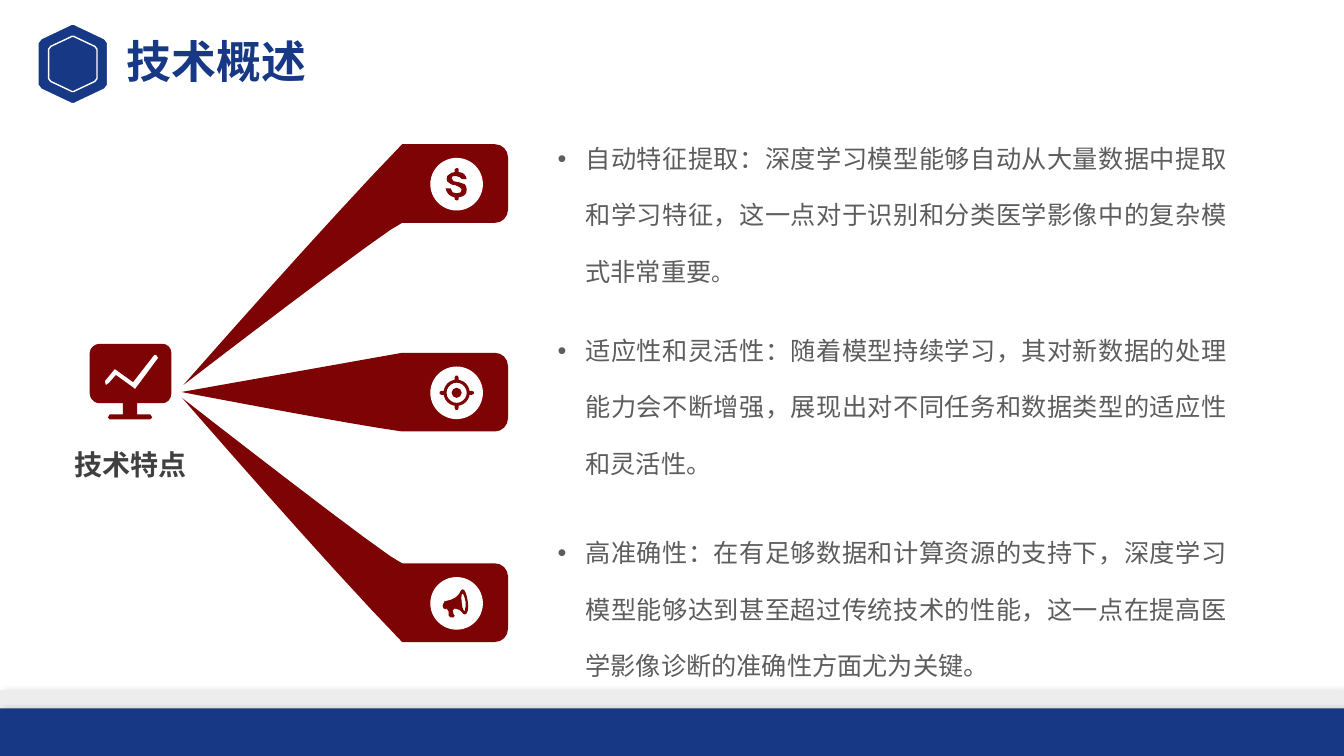
"""Build the technology overview slide with its three feature branches."""
from dataclasses import dataclass
from math import dist

from lxml import etree
from pptx import Presentation
from pptx.dml.color import RGBColor
from pptx.enum.shapes import MSO_SHAPE
from pptx.enum.text import MSO_ANCHOR, MSO_AUTO_SIZE, PP_ALIGN
from pptx.oxml import parse_xml
from pptx.oxml.ns import nsdecls, qn
from pptx.shapes.autoshape import Shape
from pptx.slide import Slide
from pptx.util import Pt

RECTANGLE, OVAL = MSO_SHAPE.RECTANGLE, MSO_SHAPE.OVAL
TOP, MIDDLE = MSO_ANCHOR.TOP, MSO_ANCHOR.MIDDLE
LEFT, CENTER, JUSTIFY = PP_ALIGN.LEFT, PP_ALIGN.CENTER, PP_ALIGN.JUSTIFY
GROW = MSO_AUTO_SIZE.SHAPE_TO_FIT_TEXT

Contour = list[tuple[float, ...]]
Point = tuple[float, float]
Frame = tuple[float, float, float, float]


@dataclass(frozen=True)
class Theme:
    """Colours, fonts and type sizes of the slide."""
    navy: str = "173885"
    maroon: str = "7D0304"
    silver: str = "EDEDED"
    white: str = "FFFFFF"
    body: str = "5D5D5D"
    label: str = "404040"
    title_font: str = "Noto Sans CJK SC"
    body_font: str = "Noto Sans CJK JP"
    title_size: float = 32
    label_size: float = 20
    body_size: float = 18
    small_size: float = 16


@dataclass(frozen=True)
class Branch:
    """One ribbon with its icon and its explanation, in points."""
    tip: Point
    head_top: float
    upper_bend: Point
    lower_bend: Point
    icon: list[Contour]
    text_top: float
    text_height: float
    text: str
    stop_size: float


THEME = Theme()
ICON_UNIT = 0.72
ICON_X, ICON_SIZE = 326.2, 37.6
HEAD_LEFT, HEAD_RIGHT, HEAD_HEIGHT, HEAD_RADIUS = 287.3, 362.9, 56.2, 9.4

HEXAGON: Contour = [
    (34.5, -21), (34.5, 21), (31.5, 25), (4, 38), (2, 40, -2, 40, -4, 38), (-31.5, 25),
    (-34.5, 21), (-34.5, -21), (-31.5, -25), (-4, -38), (-2, -40, 2, -40, 4, -38), (31.5, -25)]
DOLLAR: Contour = [
    (2, 13), (8, 12, 10, 10, 10, 5), (10, 3, 9, 1, 8, 0), (6, -1, 4, -1, 2, -2), (-3, -3),
    (-4, -4, -5, -5, -5, -6), (-4, -8), (-3, -8, -2, -8, 0, -8), (3, -7),
    (3, -7, 5, -6, 5, -5), (10, -5), (9, -9, 7, -12, 2, -12), (2, -15), (1, -16), (0, -16),
    (-2, -15), (-2, -12), (-4, -12, -6, -11, -7, -10), (-9, -9, -10, -8, -10, -5),
    (-10, -3, -9, -2, -7, -1), (-6, 0, -4, 1, -1, 1), (3, 3), (5, 5), (5, 8, 4, 9, 0, 9),
    (-4, 8), (-5, 7, -6, 6, -6, 4), (-11, 4), (-10, 9, -7, 12, -2, 13), (-2, 15), (0, 16),
    (1, 16), (2, 15)]
MEGAPHONE: Contour = [
    (11, -2), (12, 5, 11, 11, 8, 11), (6, 12, 6, 6, -2, 5), (-4, 7), (-3, 11), (-2, 12),
    (-3, 14), (-6, 14), (-8, 12), (-8, 8), (-10, 5), (-11, 6), (-13, 6, -14, 4, -14, 2),
    (-15, 1, -14, -2, -12, -2), (5, -5, 2, -13, 6, -14), (8, -14, 10, -9, 11, -2)]
MEGAPHONE_MOUTH: Contour = [
    (8, 8), (8, 7, 9, 4, 9, -1), (8, -7, 6, -10, 6, -10), (5, -10, 4, -6, 5, -1),
    (5, 4, 7, 8, 8, 8)]
MONITOR: Contour = [
    (31, -37), (-31, -37), (-36, -37, -41, -33, -41, -28), (-41, 12),
    (-41, 18, -36, 22, -31, 22), (-8, 22), (-8, 33), (-21, 33), (-23, 36), (-21, 38),
    (19, 38), (21, 36), (19, 33), (6, 33), (6, 22), (31, 22), (36, 22, 40, 18, 40, 12),
    (40, -28), (40, -33, 36, -37, 31, -37)]
TREND: Contour = [
    (27, -23), (4, 8), (3, 7), (-15, -6), (-22, 2), (-25, 4), (-26, 0), (-17, -11),
    (-16, -12), (2, 1), (23, -26), (25, -26)]
SPOKE: Contour = [(-2, -12.8), (-2, -15), (-1, -17), (1, -17), (2, -15), (2, -12.8)]


def circle(radius: float) -> Contour:
    """Return a circle around the origin as four curves."""
    r, k = radius, radius * 0.55
    return [(0, -r), (k, -r, r, -k, r, 0), (r, k, k, r, 0, r), (-k, r, -r, k, -r, 0),
            (-r, -k, -k, -r, 0, -r)]


def crosshair() -> list[Contour]:
    """Return a ring, a centre dot and four spokes."""
    spokes = [SPOKE]
    for _ in range(3):
        spokes.append([(-y, x) for x, y in spokes[-1]])
    return [circle(13), circle(10), circle(5), *spokes]


def flatten(contour: Contour) -> list[Point]:
    """Turn lines and cubic curves into a short list of points."""
    points = [contour[0]]
    for step in contour[1:]:
        if len(step) == 2:
            points.append(step)
            continue
        ends = (points[-1], step[:2], step[2:4], step[4:])
        count = max(1, min(8, round(dist(ends[0], ends[3]) / 3)))
        for t in (index / count for index in range(1, count + 1)):
            weights = ((1 - t) ** 3, 3 * t * (1 - t) ** 2, 3 * t * t * (1 - t), t ** 3)
            points.append(tuple(sum(w * end[axis] for w, end in zip(weights, ends))
                                for axis in (0, 1)))
    return points


def paint(shape: Shape, fill: str, line: str | None = None) -> Shape:
    """Give a shape its fill and outline and drop its shadow."""
    shape.shadow.inherit = False
    shape.fill.solid()
    shape.fill.fore_color.rgb = RGBColor.from_string(fill)
    if line:
        shape.line.color.rgb = RGBColor.from_string(line)
        shape.line.width = Pt(1)
    else:
        shape.line.fill.background()
    return shape


def draw_outline(page: Slide, contours: list[Contour], fill: str, center: Point = (0, 0),
                 unit: float = 1, line: str | None = None) -> Shape:
    """Draw closed contours as one freeform."""
    builder = None
    for contour in contours:
        points = [(Pt(center[0] + x * unit), Pt(center[1] + y * unit))
                  for x, y in flatten(contour)]
        if builder is None:
            builder = page.shapes.build_freeform(*points[0])
        else:
            builder.move_to(*points[0])
        builder.add_line_segments(points[1:], close=True)
    return paint(builder.convert_to_shape(), fill, line)


def draw_band(page: Slide, frame: Frame, fill: str) -> None:
    """Draw a footer band with a soft shadow."""
    band = paint(page.shapes.add_shape(RECTANGLE, *map(Pt, frame)), fill)
    effects = band._element.spPr.find(qn("a:effectLst"))
    effects.append(parse_xml(
        f'<a:outerShdw {nsdecls("a")} blurRad="{Pt(4)}" dist="{Pt(2)}" dir="0">'
        '<a:srgbClr val="000000"><a:alpha val="20000"/></a:srgbClr></a:outerShdw>'))


def add_box(page: Slide, frame: Frame, anchor: MSO_ANCHOR = TOP, inset: float = 0):
    """Add a wrapping text box and return its text frame."""
    box = page.shapes.add_textbox(*map(Pt, frame)).text_frame
    box.word_wrap, box.vertical_anchor = True, anchor
    box.margin_left = box.margin_right = Pt(inset)
    box.margin_top = box.margin_bottom = Pt(inset / 2)
    return box


def write(para, text: str, *, size: float, color: str, font: str, bold: bool = False,
          align: PP_ALIGN = LEFT) -> None:
    """Append a formatted span to a paragraph."""
    para.alignment = align
    span = para.add_run()
    span.text = text
    span.font.size, span.font.bold, span.font.name = Pt(size), bold, font
    span.font.color.rgb = RGBColor.from_string(color)
    etree.SubElement(span.font._element, qn("a:ea")).set("typeface", font)


def add_bullet(para) -> None:
    """Give a paragraph a hanging round bullet."""
    properties = para._p.get_or_add_pPr()
    properties.set("marL", str(Pt(41)))
    properties.set("indent", str(Pt(-20)))
    etree.SubElement(properties, qn("a:buFont")).set("typeface", "Arial")
    etree.SubElement(properties, qn("a:buChar")).set("char", "•")


def draw_branch(page: Slide, branch: Branch) -> None:
    """Draw a ribbon, its icon and its bullet text."""
    top, bottom = branch.head_top, branch.head_top + HEAD_HEIGHT
    turn, soft = HEAD_RIGHT - HEAD_RADIUS, HEAD_RADIUS * 0.45
    ribbon: Contour = [
        branch.tip, (*branch.tip, *branch.upper_bend, HEAD_LEFT, top), (turn, top),
        (HEAD_RIGHT - soft, top, HEAD_RIGHT, top + soft, HEAD_RIGHT, top + HEAD_RADIUS),
        (HEAD_RIGHT, bottom - HEAD_RADIUS),
        (HEAD_RIGHT, bottom - soft, HEAD_RIGHT - soft, bottom, turn, bottom),
        (HEAD_LEFT, bottom), (*branch.lower_bend, *branch.tip, *branch.tip)]
    draw_outline(page, [ribbon], THEME.maroon)
    center_y = top + HEAD_HEIGHT / 2 + 0.5
    frame = (ICON_X - ICON_SIZE / 2, center_y - ICON_SIZE / 2, ICON_SIZE, ICON_SIZE)
    paint(page.shapes.add_shape(OVAL, *map(Pt, frame)), THEME.white)
    draw_outline(page, branch.icon, THEME.maroon, (ICON_X, center_y), ICON_UNIT)
    box = add_box(page, (377.3, branch.text_top, 499, branch.text_height), MIDDLE)
    para = box.paragraphs[0]
    para.level, para.line_spacing = 1, Pt(40.3)
    add_bullet(para)
    for text, size in ((branch.text, THEME.body_size), ("。", branch.stop_size)):
        write(para, text, size=size, color=THEME.body, font=THEME.body_font, align=JUSTIFY)


BRANCHES = [
    Branch((131, 275), 103, (234, 157.7), (281.5, 159.2), [DOLLAR], 130.3, 27.4,
           "自动特征提取：深度学习模型能够自动从大量数据中提取和学习特征，"
           "这一点对于识别和分类医学影像中的复杂模式非常重要", THEME.small_size),
    Branch((129.6, 280), 252, (234.7, 261.4), (249.8, 303.1), crosshair(), 252, 58.3,
           "适应性和灵活性：随着模型持续学习，其对新数据的处理能力会不断增强，"
           "展现出对不同任务和数据类型的适应性和灵活性", THEME.body_size),
    Branch((130.3, 284.4), 402.4, (281.5, 402.4), (234, 404), [MEGAPHONE, MEGAPHONE_MOUTH],
           396.7, 58.3,
           "高准确性：在有足够数据和计算资源的支持下，深度学习模型能够达到甚至超过传统技术的性能，"
           "这一点在提高医学影像诊断的准确性方面尤为关键", THEME.body_size),
]


def main() -> None:
    """Build the deck and save it."""
    deck = Presentation()
    deck.slide_width, deck.slide_height = Pt(960), Pt(540)
    page = deck.slides.add_slide(deck.slide_layouts[6])
    draw_band(page, (0, 493, 960, 47), THEME.silver)
    for unit in (ICON_UNIT, 0.5):
        draw_outline(page, [HEXAGON], THEME.navy, (52, 45.7), unit, THEME.white)
    draw_band(page, (0, 506, 960, 34), THEME.navy)
    title = add_box(page, (83.5, 20.2, 302.4, 46), inset=7.2)
    title.auto_size = GROW
    write(title.paragraphs[0], "技术概述", size=THEME.title_size, color=THEME.navy,
          font=THEME.title_font, bold=True)
    for branch in BRANCHES:
        draw_branch(page, branch)
    draw_outline(page, [MONITOR, TREND], THEME.maroon, (93.6, 272.2), ICON_UNIT)
    label = add_box(page, (36, 307.4, 114.5, 92.2)).paragraphs[0]
    label.line_spacing, label.space_after = 1.5, Pt(3)
    write(label, "技术特点", size=THEME.label_size, color=THEME.label,
          font=THEME.body_font, bold=True, align=CENTER)
    deck.save("out.pptx")


if __name__ == "__main__":
    main()
